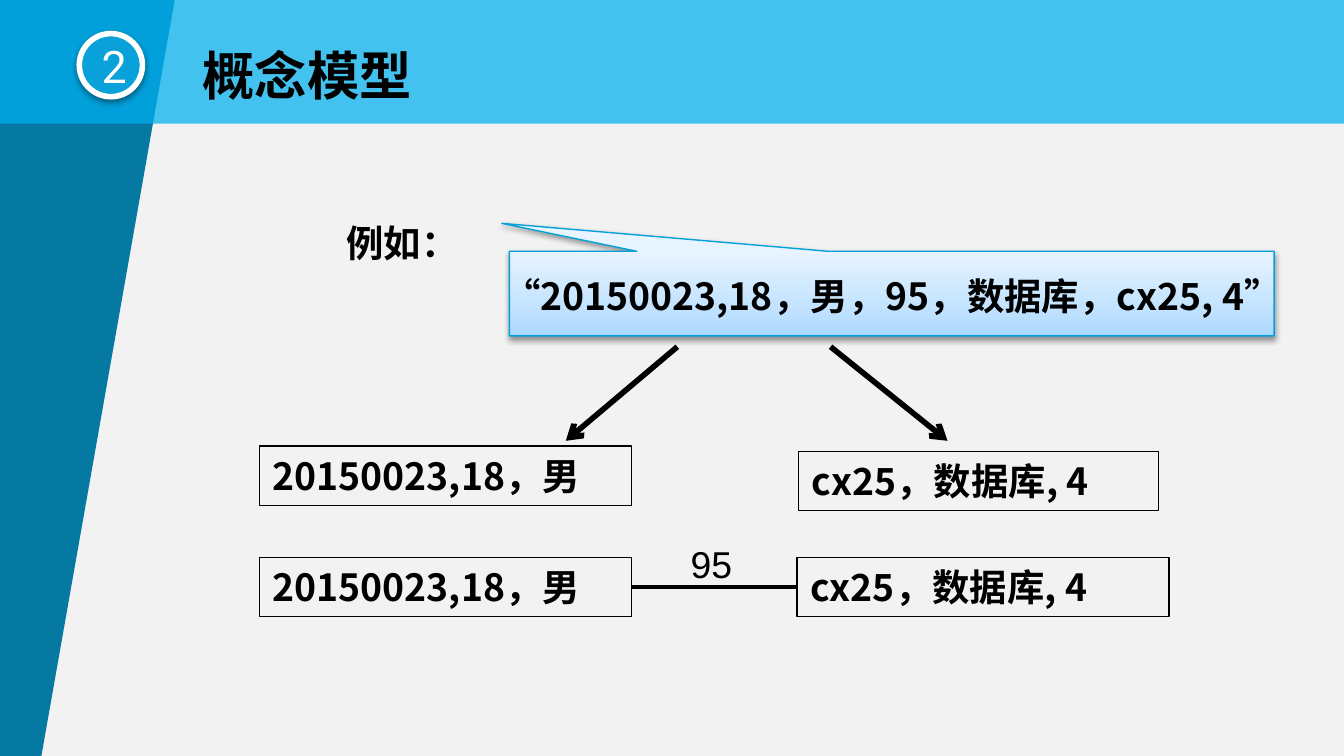
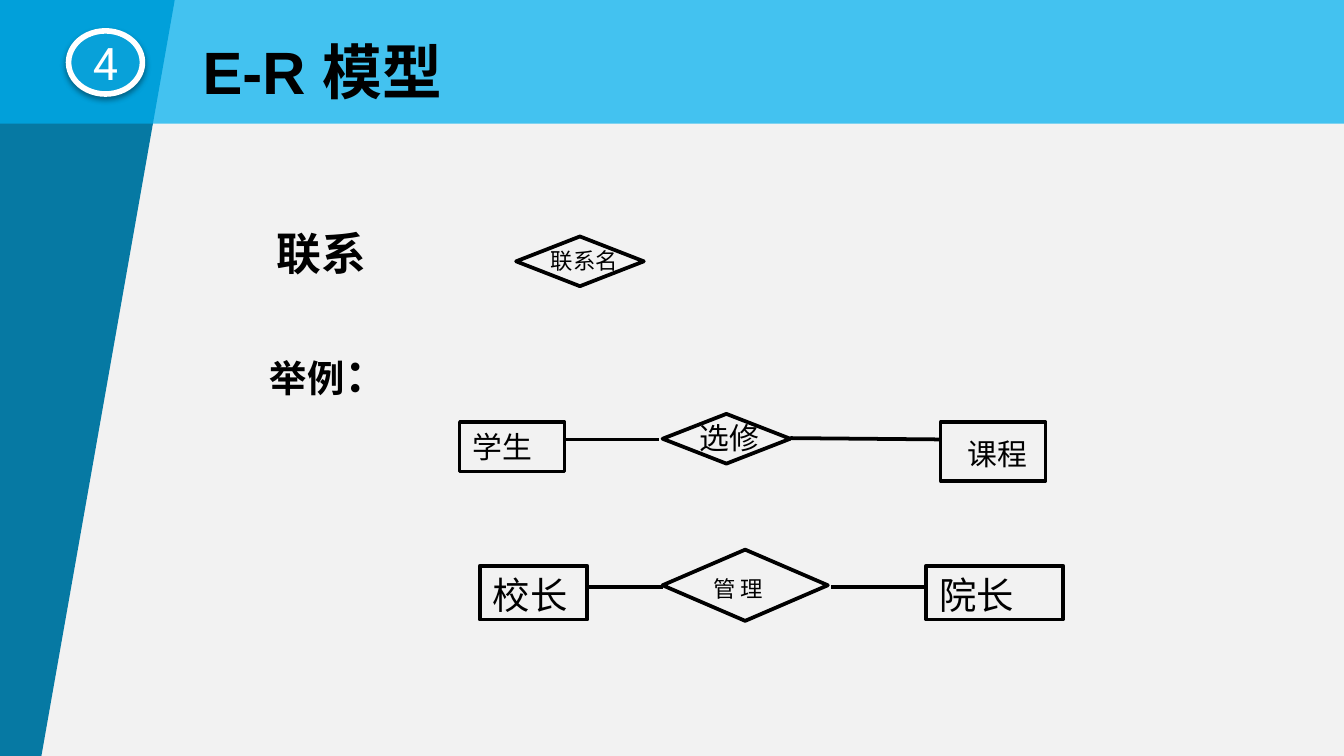
from lxml import etree
from pptx import Presentation
from pptx import util as u
from pptx.dml.color import RGBColor
from pptx.enum import shapes, text
from pptx.oxml.ns import qn

BLACK = RGBColor(0x00, 0x00, 0x00)
WHITE = RGBColor(0xFF, 0xFF, 0xFF)
PAPER = RGBColor(0xF2, 0xF2, 0xF2)
SIDE = RGBColor(0x06, 0x79, 0xA3)
BAND = RGBColor(0x00, 0xB0, 0xF0)
BADGE = RGBColor(0x08, 0xA1, 0xD9)
EDGE = RGBColor(0x03, 0xA0, 0xD9)
SKY = ((0, RGBColor(0xAB, 0xD8, 0xFF)), (35, RGBColor(0xC3, 0xE3, 0xFF)),
       (100, RGBColor(0xE8, 0xF4, 0xFF)))

HAN = "Noto Sans CJK SC"
LATIN = "Arial"
FORM = shapes.MSO_SHAPE
MID = text.PP_ALIGN.CENTER


# Basic parts
def tag(parent, name, **attrs):
    return etree.SubElement(parent, qn(name), attrs)


def write(item, runs, align=None, wrap=True, grow=True,
          anchor=text.MSO_ANCHOR.TOP, color=BLACK):
    """Fill a shape with one paragraph; runs are (words, format) pairs."""
    frame = item.text_frame
    frame.word_wrap = wrap
    frame.vertical_anchor = anchor
    fit = text.MSO_AUTO_SIZE
    frame.auto_size = fit.SHAPE_TO_FIT_TEXT if grow else fit.NONE
    para = frame.paragraphs[0]
    para.alignment = align or text.PP_ALIGN.LEFT
    for words, form in runs:
        run = para.add_run()
        run.text = words
        for key, value in form.items():
            setattr(run.font, key, value)
        run.font.color.rgb = color
        tag(run.font._element, "a:ea", typeface=HAN)


def style(size, name=LATIN, bold=False):
    return {"size": u.Pt(size), "name": name, "bold": bold}


def label(slide, box, runs, **opts):
    item = slide.shapes.add_textbox(*map(u.Inches, box))
    write(item, runs, **opts)


def shape(slide, form, box, line=BLACK, width=2, fill=None):
    item = slide.shapes.add_shape(form, *map(u.Inches, box))
    item.shadow.inherit = False
    if fill is None:
        item.fill.background()
    else:
        item.fill.solid()
        item.fill.fore_color.rgb = fill
    if line is None:
        item.line.fill.background()
    else:
        item.line.color.rgb = line
        item.line.width = u.Pt(width)
    return item


def node(slide, box, runs, width=0.75, **opts):
    write(shape(slide, FORM.RECTANGLE, box, width=width), runs, **opts)


def line(slide, start, end, width=2, arrow=False):
    item = slide.shapes.add_connector(
        shapes.MSO_CONNECTOR.STRAIGHT, *map(u.Inches, (*start, *end)))
    item.line.color.rgb = BLACK
    item.line.width = u.Pt(width)
    if arrow:
        tag(item.line._get_or_add_ln(), "a:tailEnd", type="arrow")
    tag(item._element.spPr, "a:effectLst")


def shade(item):
    """Soft shadow straight below the shape."""
    effects = item._element.spPr.find(qn("a:effectLst"))
    cast = tag(effects, "a:outerShdw", blurRad=str(u.Pt(3.1)), dist=str(u.Pt(1.6)),
               dir="5400000", rotWithShape="0")
    tag(tag(cast, "a:srgbClr", val="000000"), "a:alpha", val="38000")


def blend(item, stops):
    """Upward gradient through the given stops."""
    item.fill.gradient()
    item.fill.gradient_angle = 90
    ramp = item._element.spPr.find(".//" + qn("a:gsLst"))
    for old in list(ramp):
        ramp.remove(old)
    for place, color in stops:
        tag(tag(ramp, "a:gs", pos=str(place * 1000)), "a:srgbClr", val=str(color))


# Shared frame: background, slanted side, translucent band
def base(deck):
    slide = deck.slides.add_slide(deck.slide_layouts[6])
    slide.background.fill.solid()
    slide.background.fill.fore_color.rgb = PAPER
    spots = [(u.Inches(x), u.Inches(y)) for x, y in
             ((-0.01, -0.01), (1.3, 0), (0.3, 5.67), (-0.01, 5.66))]
    pen = slide.shapes.build_freeform(*spots[0])
    pen.add_line_segments(spots[1:], close=True)
    side = pen.convert_to_shape()
    side.shadow.inherit = False
    side.fill.solid()
    side.fill.fore_color.rgb = SIDE
    side.line.fill.background()
    band = shape(slide, FORM.RECTANGLE, (-0.01, 0, 10.01, 0.92), line=None, fill=BAND)
    tag(band._element.spPr.find(".//" + qn("a:srgbClr")), "a:alpha", val="72000")
    return slide


# Numbered badge and title
def head(slide, digit, badge, title, box, size):
    disc = shape(slide, FORM.OVAL, badge, line=WHITE, width=3, fill=BADGE)
    shade(disc)
    write(disc, [(digit, style(24, "Roboto"))], align=MID, grow=False,
          anchor=text.MSO_ANCHOR.MIDDLE, color=WHITE)
    label(slide, box, [(title, style(size, bold=True))])


# Record in a callout, with its lead-in
def record(slide, x, y):
    bold = style(20, HAN, True)
    call = shape(slide, FORM.RECTANGULAR_CALLOUT, (x + 1.31, y + 0.28, 5.69, 0.63),
                 line=EDGE, width=0.75)
    call.adjustments[0], call.adjustments[1] = -0.51, -0.83
    blend(call, SKY)
    shade(call)
    label(slide, (x + 0.91, y + 0.39, 6.5, 0.44),
          [("“20150023,18，男，95，数据库，cx25, 4”", bold)], align=MID)
    label(slide, (x, y, 1.05, 0.44), [("例如：", bold)], wrap=False)


# Record split in two, then joined by the grade
def split(slide, x, y):
    bold = style(20, HAN, True)
    pupil, course = [("20150023,18，男", bold)], [("cx25，数据库, 4", bold)]
    for start, end in ((3.11, 2.28), (4.25, 5.12)):
        line(slide, (x + start, y), (x + end, y + 0.7), width=3, arrow=True)
    for runs, left, top, width in ((pupil, 0, 0.74, 2.77), (course, 4.01, 0.78, 2.68),
                                   (pupil, 0, 1.57, 2.77), (course, 4, 1.57, 2.77)):
        node(slide, (x + left, y + top, width, 0.44), runs)
    line(slide, (x + 2.77, y + 1.79), (x + 4, y + 1.79))
    label(slide, (x + 3.11, y + 1.4, 0.59, 0.4), [("95", style(20))])


# Diamond with its name
def bond(slide, box, name, size, spot):
    shape(slide, FORM.DIAMOND, box)
    label(slide, (box[0] + spot[0], box[1] + spot[1], *spot[2:]), [(name, style(size))])


# Two entities joined through a diamond; x, y is the corner of the left entity
def link(slide, x, y, left, right, tie, lines, width):
    for dx, wide, high, runs, align in (left, right):
        node(slide, (x + dx, y, wide, high), runs, width=width, align=align)
    for (x1, y1), (x2, y2) in lines:
        line(slide, (x + x1, y + y1), (x + x2, y + y2))
    dx, dy, wide, high, name, size, spot = tie
    bond(slide, (x + dx, y + dy, wide, high), name, size, spot)


def model(deck):
    slide = base(deck)
    record(slide, 2.48, 1.59)
    split(slide, 1.93, 2.58)
    head(slide, "2", (0.59, 0.25, 0.47, 0.47), "概念模型", (1.41, 0.27, 2.01, 0.57), 28)


def relate(deck):
    slide = base(deck)
    label(slide, (1.96, 1.63, 1.15, 0.48), [("联系", style(24, HAN, True))], grow=False)
    label(slide, (1.91, 2.54, 1.37, 0.48),
          [("举例", style(20, HAN, True)), ("：", style(24, HAN, True))], grow=False)
    bond(slide, (3.84, 1.76, 0.95, 0.37), "联系名", 12, (0.16, 0.03, 0.84, 0.3))
    link(slide, 3.42, 3.14,
         left=(0, 0.78, 0.37, [("学生", style(16))], None),
         right=(3.58, 0.78, 0.44, [(" ", style(20)), ("课程", style(16))], MID),
         tie=(1.51, -0.06, 0.95, 0.37, "选修", 16, (0.18, -0.01, 0.75, 0.37)),
         lines=(((1.48, 0.13), (0.78, 0.13)), ((3.58, 0.13), (2.46, 0.12))),
         width=1.75)
    link(slide, 3.57, 4.21,
         left=(0, 0.8, 0.4, [("校长", style(20))], None),
         right=(3.32, 1.02, 0.4, [("院长", style(20))], None),
         tie=(1.36, -0.12, 1.23, 0.53, "管 理", 12, (0.28, 0.14, 0.75, 0.3)),
         lines=(((1.36, 0.16), (0.8, 0.16)), ((3.32, 0.16), (2.61, 0.16))),
         width=2)
    head(slide, "4", (0.51, 0.23, 0.55, 0.47), "E-R 模型", (1.41, 0.21, 2.17, 0.64), 32)


def main():
    deck = Presentation()
    deck.slide_width = u.Inches(10)
    deck.slide_height = u.Inches(10 * 9 / 16)
    model(deck)
    relate(deck)
    deck.save("out.pptx")


if __name__ == "__main__":
    main()
